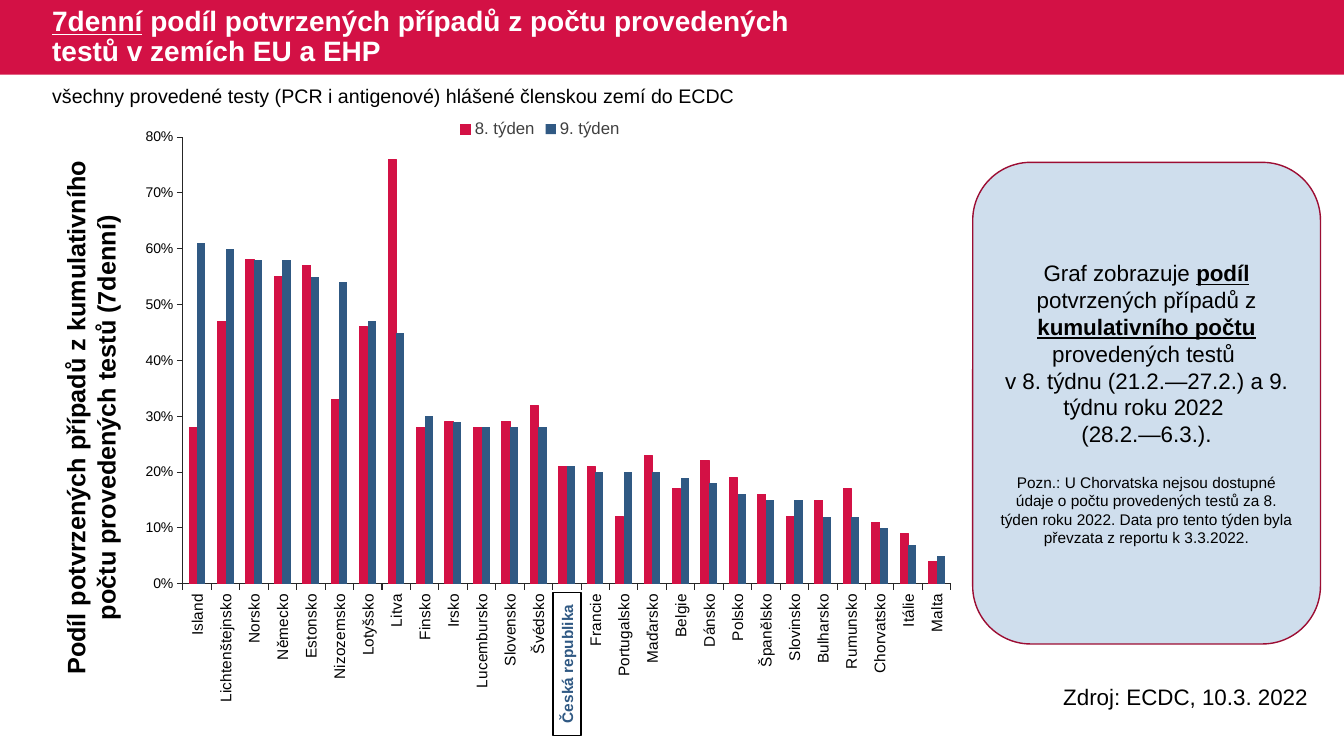
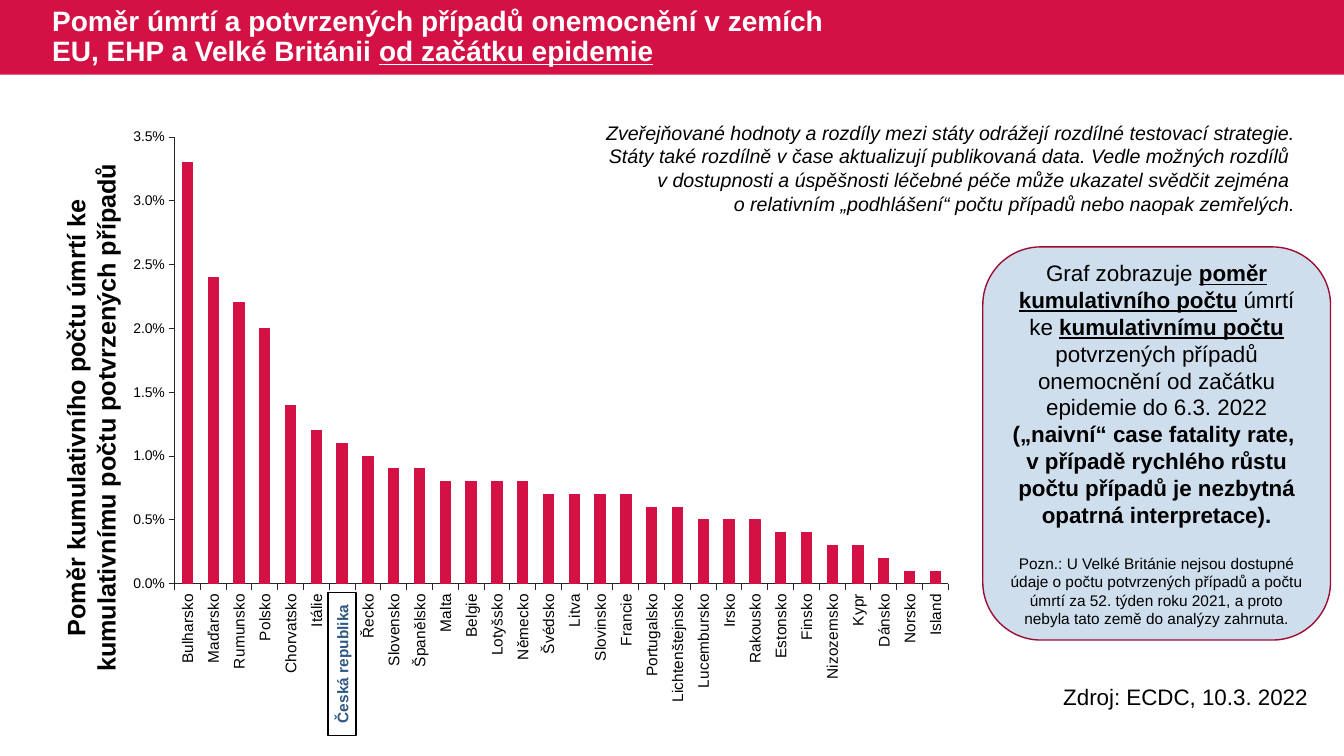
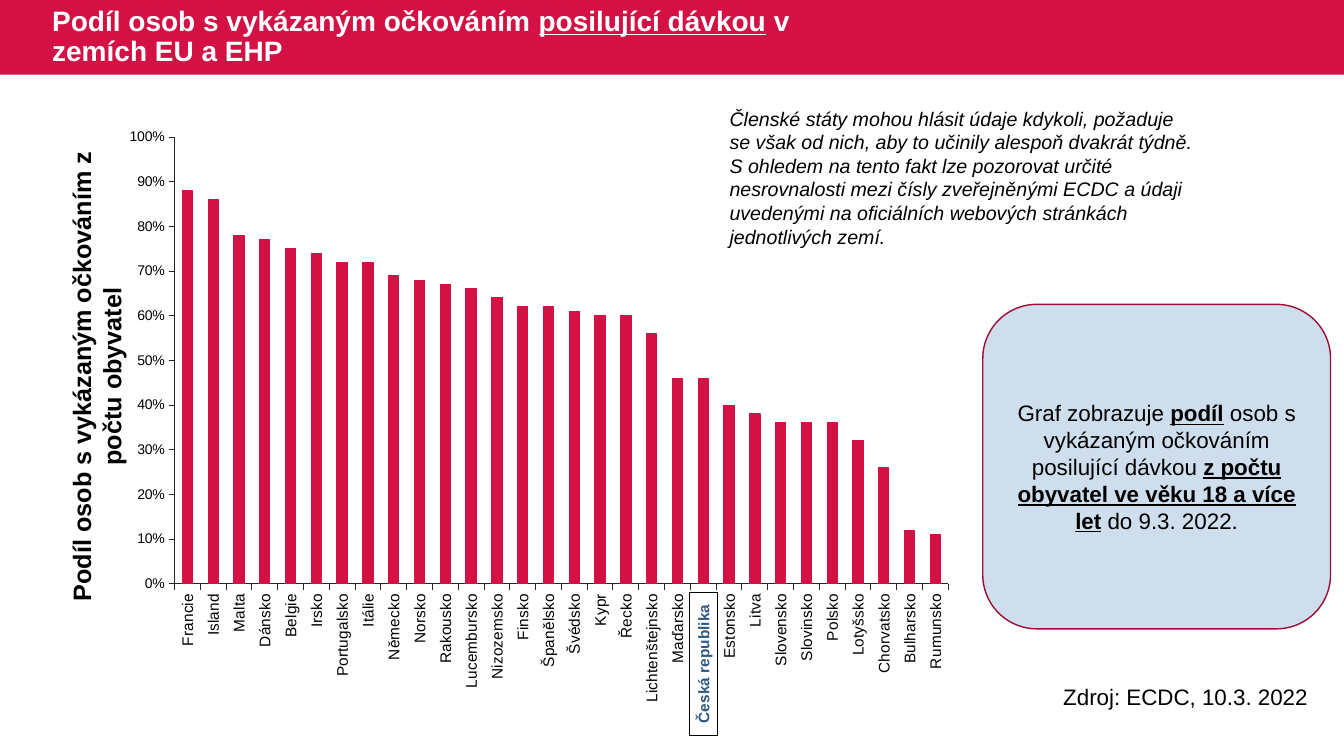
import pptx
import pptx.chart.data
import pptx.dml.color
import pptx.enum.chart
import pptx.enum.shapes
import pptx.enum.text
import pptx.oxml
import pptx.oxml.ns
import pptx.util

Pt = pptx.util.Pt
ALIGN = pptx.enum.text.PP_ALIGN
ANCHOR = pptx.enum.text.MSO_ANCHOR
SHAPE = pptx.enum.shapes.MSO_SHAPE

CRIMSON, BLUE, PALE_BLUE = "D31145", "305983", "CFDEED"
DARK_RED, AXIS_GREY, TEXT_GREY = "9C0D33", "262626", "404040"
BLACK, WHITE = "000000", "FFFFFF"
FONT = "Arial"

# Chart frame in points, shared by all slides
CHART_LEFT, CHART_TOP, CHART_WIDTH, CHART_HEIGHT = 83.5, 77.8, 604.8, 428.4
HIGHLIGHT = "Česká republika"
SOURCE = "Zdroj: ECDC, 10.3. 2022"


def color(value):
    return pptx.dml.color.RGBColor.from_string(value)


class Report:
    """Holds the deck, the current page and the shared style."""

    def __init__(self):
        self.deck = pptx.Presentation()
        self.deck.slide_width, self.deck.slide_height = Pt(960), Pt(540)
        self.page = None

    # Page frame: band, title and source
    def new_page(self, title):
        self.page = self.deck.slides.add_slide(self.deck.slide_layouts[6])
        self.box(0, 0, 960, 53.3, SHAPE.RECTANGLE, CRIMSON)
        box = self.text(30.2, 0, 587.5, 53.3, [title], 20, WHITE, bold=True)
        box.text_frame.vertical_anchor = ANCHOR.MIDDLE
        box.text_frame.paragraphs[0].line_spacing = 0.9
        self.text(752.4, 484.6, 200, 26.6, [SOURCE], 16)

    def box(self, left, top, width, height, kind, fill, line=None):
        box = self.page.shapes.add_shape(
            kind, Pt(left), Pt(top), Pt(width), Pt(height))
        box.shadow.inherit = False
        box.fill.solid()
        box.fill.fore_color.rgb = color(fill)
        if line:
            box.line.color.rgb = color(line)
            box.line.width = Pt(1)
        else:
            box.line.fill.background()
        return box

    # A paragraph is a string or a list of spans; a span is a string
    # or a (text, marks) pair with marks b = bold, u = underlined
    def add_words(self, box, paragraphs, size, ink=BLACK, align=ALIGN.LEFT,
                  bold=False, italic=False):
        frame = box.text_frame
        frame.word_wrap = True
        for index, spans in enumerate(paragraphs):
            para = frame.add_paragraph() if index else frame.paragraphs[0]
            para.alignment = align
            for item in [spans] if isinstance(spans, str) else spans:
                words, marks = (item, "") if isinstance(item, str) else item
                for number, line in enumerate(words.split("\n")):
                    if number:
                        para.add_line_break()
                    span = para.add_run()
                    span.text = line
                    span.font.name, span.font.size = FONT, Pt(size)
                    span.font.color.rgb = color(ink)
                    span.font.bold = bold or "b" in marks
                    span.font.underline = "u" in marks
                    span.font.italic = italic

    def text(self, left, top, width, height, paragraphs, size, ink=BLACK,
             **style):
        box = self.page.shapes.add_textbox(
            Pt(left), Pt(top), Pt(width), Pt(height))
        self.add_words(box, paragraphs, size, ink, **style)
        return box

    # Rotated title of the value axis, placed by its centre
    def axis_title(self, words, center_x=65, center_y=298.4, length=390):
        box = self.text(center_x - length / 2, center_y - 25.5, length, 51,
                        [words], 18, bold=True, align=ALIGN.CENTER)
        box.rotation = 270

    # Rounded panel with an optional small note below the message
    def callout(self, left, top, height, paragraphs, note=None):
        box = self.box(left, top, 248.4, height, SHAPE.ROUNDED_RECTANGLE,
                       PALE_BLUE, DARK_RED)
        box.text_frame.vertical_anchor = ANCHOR.MIDDLE
        self.add_words(box, paragraphs, 16, align=ALIGN.CENTER)
        if note:
            para = box.text_frame.add_paragraph()
            para.text = note
            para.alignment = ALIGN.CENTER
            para.space_before = Pt(18.4)
            span = para.runs[0]
            span.font.name, span.font.size = FONT, Pt(11)
            span.font.color.rgb = color(BLACK)

    # Column chart with the highlighted country label
    def column_chart(self, countries, series, number_format, maximum, step,
                     plot_x=0.068, plot_width=0.914):
        data = pptx.chart.data.CategoryChartData(number_format=number_format)
        data.categories = countries
        for name, values in series.items():
            data.add_series(name, values)
        chart = self.page.shapes.add_chart(
            pptx.enum.chart.XL_CHART_TYPE.COLUMN_CLUSTERED,
            Pt(CHART_LEFT), Pt(CHART_TOP), Pt(CHART_WIDTH), Pt(CHART_HEIGHT),
            data).chart
        chart.has_title = False
        self.chart_font(chart.font, 10, TEXT_GREY)
        chart.has_legend = len(series) > 1
        if chart.has_legend:
            chart.legend.position = pptx.enum.chart.XL_LEGEND_POSITION.TOP
            chart.legend.include_in_layout = False
            self.chart_font(chart.legend.font, 12, TEXT_GREY)

        plot = chart.plots[0]
        plot.vary_by_categories = False
        plot.gap_width, plot.overlap = 150, 0
        for bars, fill in zip(plot.series, (CRIMSON, BLUE)):
            bars.format.fill.solid()
            bars.format.fill.fore_color.rgb = color(fill)
        plot.series[0].format.line.color.rgb = color(CRIMSON)
        plot.series[0].format.line.width = Pt(0.75)

        for axis, size in ((chart.category_axis, 11), (chart.value_axis, 10)):
            axis.has_major_gridlines = False
            axis.major_tick_mark = pptx.enum.chart.XL_TICK_MARK.OUTSIDE
            axis.format.line.color.rgb = color(AXIS_GREY)
            axis.format.line.width = Pt(0.75)
            self.chart_font(axis.tick_labels.font, size, BLACK)
        qn = pptx.oxml.ns.qn
        labels = chart.category_axis._element.find(qn("c:txPr"))
        labels.find(qn("a:bodyPr")).set("rot", "-5400000")
        labels.find(qn("a:bodyPr")).set("vert", "horz")
        axis = chart.value_axis
        axis.minimum_scale, axis.maximum_scale = 0, maximum
        axis.major_unit = step
        axis.tick_labels.number_format = number_format
        axis.tick_labels.number_format_is_linked = False
        self.plot_layout(chart, plot_x, plot_width)

        # The label covers the country's own category label
        share = (countries.index(HIGHLIGHT) + 0.5) / len(countries)
        center = CHART_LEFT + CHART_WIDTH * (plot_x + plot_width * share)
        label = self.box(center - 51, 464.2, 102, 20, SHAPE.RECTANGLE,
                         WHITE, BLACK)
        label.rotation = 270
        label.text_frame.vertical_anchor = ANCHOR.MIDDLE
        self.add_words(label, [HIGHLIGHT], 11, BLUE, ALIGN.CENTER, bold=True)

    def chart_font(self, font, size, ink):
        font.name, font.size, font.bold = FONT, Pt(size), False
        font.color.rgb = color(ink)

    def plot_layout(self, chart, plot_x, plot_width):
        area = chart._chartSpace.chart.plotArea
        for old in area.findall(pptx.oxml.ns.qn("c:layout")):
            area.remove(old)
        sizes = {"x": plot_x, "y": 0.047, "w": plot_width, "h": 0.745}
        area.insert(0, pptx.oxml.parse_xml(
            "<c:layout %s><c:manualLayout>" % pptx.oxml.ns.nsdecls("c")
            + '<c:layoutTarget val="inner"/>'
            + '<c:xMode val="edge"/><c:yMode val="edge"/>'
            + "".join('<c:%s val="%s"/>' % pair for pair in sizes.items())
            + "</c:manualLayout></c:layout>"))


def positive_tests(report):
    report.new_page([
        ("7denní", "u"),
        " podíl potvrzených případů z počtu provedených testů v zemích EU a EHP"])
    report.text(30.2, 56.2, 906.5, 24.5, [
        "všechny provedené testy (PCR i antigenové) hlášené členskou zemí do ECDC"],
        14)
    report.axis_title("Podíl potvrzených případů z kumulativního počtu "
                      "provedených testů (7denní)")
    report.column_chart(
        ["Island", "Lichtenštejnsko", "Norsko", "Německo", "Estonsko",
         "Nizozemsko", "Lotyšsko", "Litva", "Finsko", "Irsko", "Lucembursko",
         "Slovensko", "Švédsko", "Česká republika", "Francie", "Portugalsko",
         "Maďarsko", "Belgie", "Dánsko", "Polsko", "Španělsko", "Slovinsko",
         "Bulharsko", "Rumunsko", "Chorvatsko", "Itálie", "Malta"],
        {"8. týden": [
            0.28, 0.47, 0.58, 0.55, 0.57, 0.33, 0.46, 0.76, 0.28,
            0.29, 0.28, 0.29, 0.32, 0.21, 0.21, 0.12, 0.23, 0.17,
            0.22, 0.19, 0.16, 0.12, 0.15, 0.17, 0.11, 0.09, 0.04],
         "9. týden": [
            0.61, 0.6, 0.58, 0.58, 0.55, 0.54, 0.47, 0.45, 0.3,
            0.29, 0.28, 0.28, 0.28, 0.21, 0.2, 0.2, 0.2, 0.19,
            0.18, 0.16, 0.15, 0.15, 0.12, 0.12, 0.1, 0.07, 0.05]},
        "0%", 0.8, 0.1, plot_x=0.078, plot_width=0.907)
    report.callout(694.8, 116, 344, [
        ["Graf zobrazuje ", ("podíl", "bu"), " potvrzených případů z ",
         ("kumulativního počtu", "bu"), " provedených testů "],
        "v 8. týdnu (21.2.—27.2.) a 9. týdnu roku 2022 ",
        "(28.2.—6.3.)."],
        "Pozn.: U Chorvatska nejsou dostupné údaje o počtu provedených testů "
        "za 8. týden roku 2022. Data pro tento týden byla převzata z reportu "
        "k 3.3.2022.")


def fatality_ratio(report):
    report.new_page([
        "Poměr úmrtí a potvrzených případů onemocnění v zemích EU, EHP "
        "a Velké Británii ", ("od začátku epidemie", "u")])
    report.axis_title("Poměr kumulativního počtu úmrtí ke kumulativnímu počtu "
                      "potvrzených případů")
    report.column_chart(
        ["Bulharsko", "Maďarsko", "Rumunsko", "Polsko", "Chorvatsko",
         "Itálie", "Česká republika", "Řecko", "Slovensko", "Španělsko",
         "Malta", "Belgie", "Lotyšsko", "Německo", "Švédsko", "Litva",
         "Slovinsko", "Francie", "Portugalsko", "Lichtenštejnsko",
         "Lucembursko", "Irsko", "Rakousko", "Estonsko", "Finsko",
         "Nizozemsko", "Kypr", "Dánsko", "Norsko", "Island"],
        {"Series 1": [
            0.033, 0.024, 0.022, 0.02, 0.014, 0.012, 0.011, 0.01, 0.009, 0.009,
            0.008, 0.008, 0.008, 0.008, 0.007, 0.007, 0.007, 0.007, 0.006, 0.006,
            0.005, 0.005, 0.005, 0.004, 0.004, 0.003, 0.003, 0.002, 0.001, 0.001]},
        "0.0%", 0.035, 0.005)
    report.callout(702, 176.4, 280.8, [
        ["Graf zobrazuje ", ("poměr kumulativního počtu", "bu"), " úmrtí ke ",
         ("kumulativnímu počtu", "bu"),
         " potvrzených případů onemocnění od začátku epidemie do 6.3. 2022\n",
         ("(„naivní“ case fatality rate, \nv případě rychlého růstu počtu "
          "případů je nezbytná opatrná interpretace).", "b")]],
        "Pozn.: U Velké Británie nejsou dostupné údaje o počtu potvrzených "
        "případů a počtu úmrtí za 52. týden roku 2021, a proto nebyla tato "
        "země do analýzy zahrnuta.")
    report.text(419, 82.8, 513.4, 75, [
        "Zveřejňované hodnoty a rozdíly mezi státy odrážejí rozdílné testovací "
        "strategie. Státy také rozdílně v čase aktualizují publikovaná data. "
        "Vedle možných rozdílů \nv dostupnosti a úspěšnosti léčebné péče může "
        "ukazatel svědčit zejména ",
        "o relativním „podhlášení“ počtu případů nebo naopak zemřelých."],
        14, italic=True, align=ALIGN.RIGHT)


def booster_share(report):
    report.new_page([
        "Podíl osob s vykázaným očkováním ", ("posilující dávkou", "u"),
        " v zemích EU a EHP"])
    report.axis_title("Podíl osob s vykázaným očkováním z počtu obyvatel",
                      69, 269, 361.4)
    report.column_chart(
        ["Francie", "Island", "Malta", "Dánsko", "Belgie", "Irsko",
         "Portugalsko", "Itálie", "Německo", "Norsko", "Rakousko",
         "Lucembursko", "Nizozemsko", "Finsko", "Španělsko", "Švédsko",
         "Kypr", "Řecko", "Lichtenštejnsko", "Maďarsko", "Česká republika",
         "Estonsko", "Litva", "Slovensko", "Slovinsko", "Polsko", "Lotyšsko",
         "Chorvatsko", "Bulharsko", "Rumunsko"],
        {"Series 1": [
            0.88, 0.86, 0.78, 0.77, 0.75, 0.74, 0.72, 0.72, 0.69, 0.68,
            0.67, 0.66, 0.64, 0.62, 0.62, 0.61, 0.6, 0.6, 0.56, 0.46,
            0.46, 0.4, 0.38, 0.36, 0.36, 0.36, 0.32, 0.26, 0.12, 0.11]},
        "0%", 1, 0.1)
    report.callout(702, 217.4, 231.8, [
        ["Graf zobrazuje ", ("podíl", "bu"),
         " osob s vykázaným očkováním posilující dávkou ",
         ("z počtu obyvatel ve věku 18 a více let", "bu"), " do 9.3. 2022."]])
    report.text(514, 72.7, 350, 108.7, [
        "Členské státy mohou hlásit údaje kdykoli, požaduje se však od nich, "
        "aby to učinily alespoň dvakrát týdně. S ohledem na tento fakt lze "
        "pozorovat určité nesrovnalosti mezi čísly zveřejněnými ECDC a údaji "
        "uvedenými na oficiálních webových stránkách jednotlivých zemí."],
        14, italic=True)


def main():
    report = Report()
    positive_tests(report)
    fatality_ratio(report)
    booster_share(report)
    report.deck.save("out.pptx")


if __name__ == "__main__":
    main()
